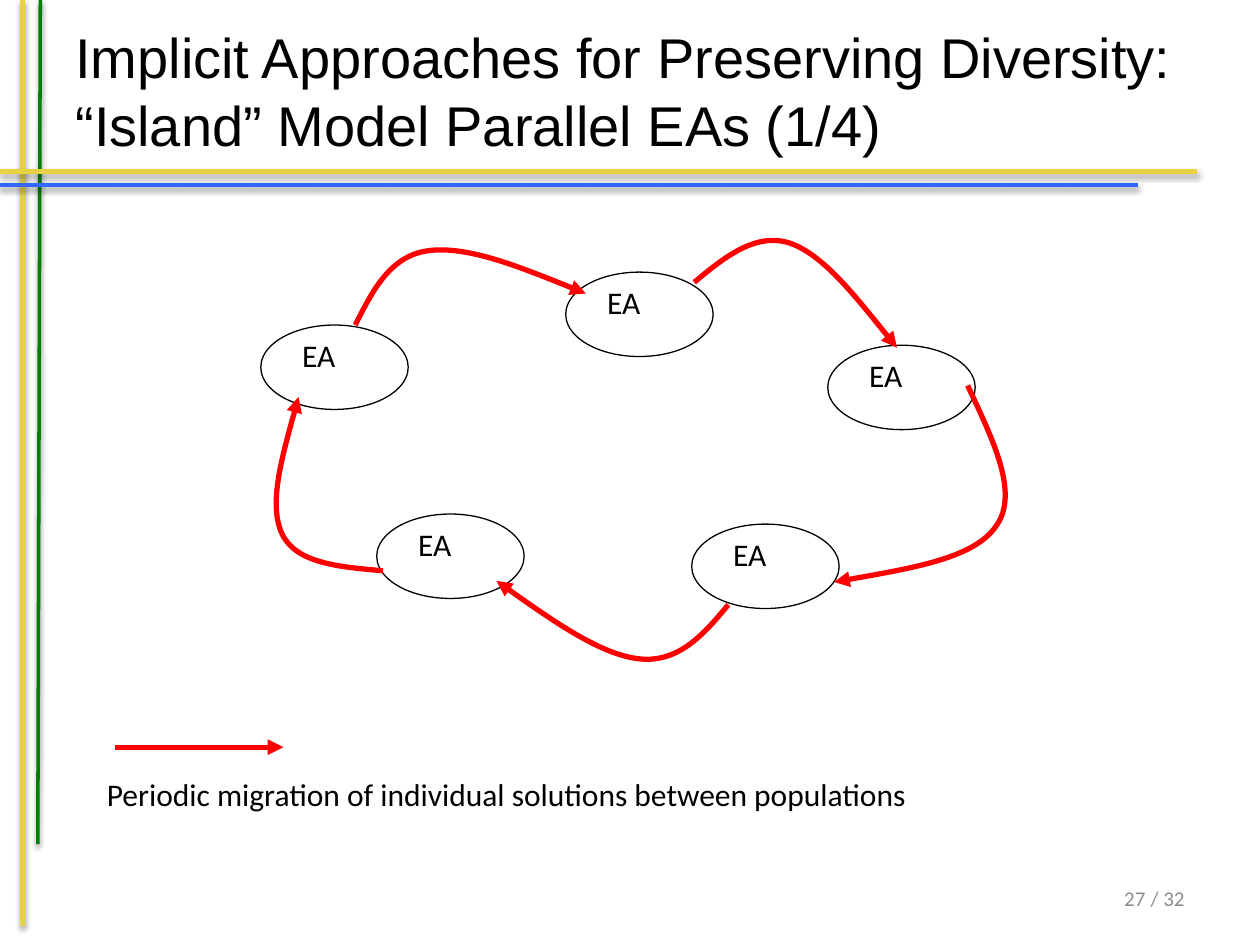
"""Build the slide on the island model of parallel evolutionary algorithms."""
from lxml import etree
from pptx import Presentation
from pptx.dml.color import RGBColor
from pptx.enum.shapes import MSO_CONNECTOR, MSO_SHAPE
from pptx.enum.text import MSO_ANCHOR, PP_ALIGN
from pptx.oxml.ns import qn
from pptx.util import Inches, Pt

STRAIGHT, OVAL = MSO_CONNECTOR.STRAIGHT, MSO_SHAPE.OVAL
LEFT, RIGHT = PP_ALIGN.LEFT, PP_ALIGN.RIGHT
TOP, MIDDLE = MSO_ANCHOR.TOP, MSO_ANCHOR.MIDDLE
BLACK = RGBColor(0, 0, 0)
GRAY = RGBColor(0x8C, 0x8C, 0x8C)
RED = RGBColor(0xFF, 0, 0)
YELLOW = RGBColor(0xE8, 0xD2, 0x41)
GREEN = RGBColor(0, 0x80, 0)
BLUE = RGBColor(0x33, 0x66, 0xFF)

TITLE = "Implicit Approaches for Preserving Diversity: “Island” Model Parallel EAs (1/4)"
CAPTION = "Periodic migration of individual solutions between populations"
RULES = [
    ((0.18, 0), (0.18, 7.35), YELLOW, 3),
    ((0.32, 0), (0.3, 6.7), GREEN, 2),
    ((0, 1.36), (9.5, 1.36), YELLOW, 3),
    ((0, 1.47), (9.03, 1.47), BLUE, 2),
]
ISLANDS = [(4.49, 2.16), (2.07, 2.58), (2.99, 4.08), (5.49, 4.16), (6.57, 2.74)]
ISLAND_SIZE = (1.17, 0.67)
MIGRATIONS = [
    [(2.82, 2.58), (2.96, 2.3), (3.1, 2.03), (3.4, 1.99), (3.71, 1.95), (4.18, 2.14), (4.65, 2.33)],
    [(5.51, 2.24), (5.75, 2.04), (6, 1.84), (6.27, 1.93), (6.53, 2.02), (6.82, 2.39), (7.12, 2.76)],
    [(7.68, 3.06), (7.88, 3.49), (8.09, 3.91), (7.91, 4.17), (7.74, 4.43), (7.18, 4.52), (6.62, 4.62)],
    [(3.04, 4.53), (2.69, 4.5), (2.35, 4.47), (2.24, 4.24), (2.13, 4.01), (2.25, 3.58), (2.37, 3.15)],
    [(5.78, 4.8), (5.59, 5.03), (5.39, 5.26), (5.08, 5.23), (4.78, 5.2), (4.36, 4.91), (3.94, 4.61)],
]


def add_text(shapes, text, left, top, width, height, size=18, font="Calibri",
             color=BLACK, align=LEFT, anchor=TOP):
    box = shapes.add_textbox(Inches(left), Inches(top), Inches(width), Inches(height))
    frame = box.text_frame
    frame.word_wrap = True
    frame.vertical_anchor = anchor
    paragraph = frame.paragraphs[0]
    paragraph.alignment = align
    run = paragraph.add_run()
    run.text = text
    run.font.size = Pt(size)
    run.font.name = font
    run.font.color.rgb = color


def style_line(shape, color, width, arrow=False):
    shape.line.color.rgb = color
    shape.line.width = Pt(width)
    if arrow:
        etree.SubElement(shape.line._get_or_add_ln(), qn("a:tailEnd"), type="triangle")


def add_line(shapes, start, end, color, width, arrow=False, shadow=False):
    line = shapes.add_connector(STRAIGHT, *(Inches(value) for value in start + end))
    style_line(line, color, width, arrow)
    effects = etree.SubElement(line._element.spPr, qn("a:effectLst"))
    if shadow:
        outer = etree.SubElement(effects, qn("a:outerShdw"), blurRad=str(Pt(3.1)),
                                 dist=str(Pt(1.6)), dir="5400000", rotWithShape="0")
        shade = etree.SubElement(outer, qn("a:srgbClr"), val="000000")
        etree.SubElement(shade, qn("a:alpha"), val="38000")


def add_curve(shapes, points):
    start, *rest = [(Inches(x), Inches(y)) for x, y in points]
    builder = shapes.build_freeform(*start)
    builder.add_line_segments(rest, close=False)
    curve = builder.convert_to_shape()
    segments = list(curve._element.iter(qn("a:lnTo")))
    for index in range(0, len(segments), 3):
        group = segments[index:index + 3]
        bezier = etree.Element(qn("a:cubicBezTo"))
        group[0].addprevious(bezier)
        for segment in group:
            bezier.append(segment[0])
            segment.getparent().remove(segment)
    curve.fill.background()
    curve.shadow.inherit = False
    style_line(curve, RED, 3, arrow=True)


def add_island(shapes, left, top):
    members = shapes.add_group_shape().shapes
    width, height = ISLAND_SIZE
    ellipse = members.add_shape(OVAL, Inches(left), Inches(top), Inches(width), Inches(height))
    ellipse.fill.background()
    ellipse.shadow.inherit = False
    style_line(ellipse, BLACK, 0.75)
    add_text(members, "EA", left + 0.23, top + 0.04, 0.65, 0.5)


presentation = Presentation()
presentation.slide_width = Inches(10)
presentation.slide_height = Inches(7.5)
slide = presentation.slides.add_slide(presentation.slide_layouts[6])
shapes = slide.shapes

for start, end, color, width in RULES:
    add_line(shapes, start, end, color, width, shadow=True)
add_text(shapes, "/ 32", 9.02, 6.98, 0.48, 0.3, size=12, color=GRAY, align=RIGHT)
add_text(shapes, TITLE, 0.5, 0.09, 9, 1.25, size=32, font="Arial", anchor=MIDDLE)
add_text(shapes, CAPTION, 0.75, 6.1, 8.6, 0.5)
for left, top in ISLANDS:
    add_island(shapes, left, top)
for points in MIGRATIONS:
    add_curve(shapes, points)
add_line(shapes, (0.91, 5.93), (2.25, 5.93), RED, 3, arrow=True)
add_text(shapes, "27", 8.36, 6.93, 0.83, 0.4, size=12, color=GRAY, align=RIGHT, anchor=MIDDLE)

presentation.save("out.pptx")
